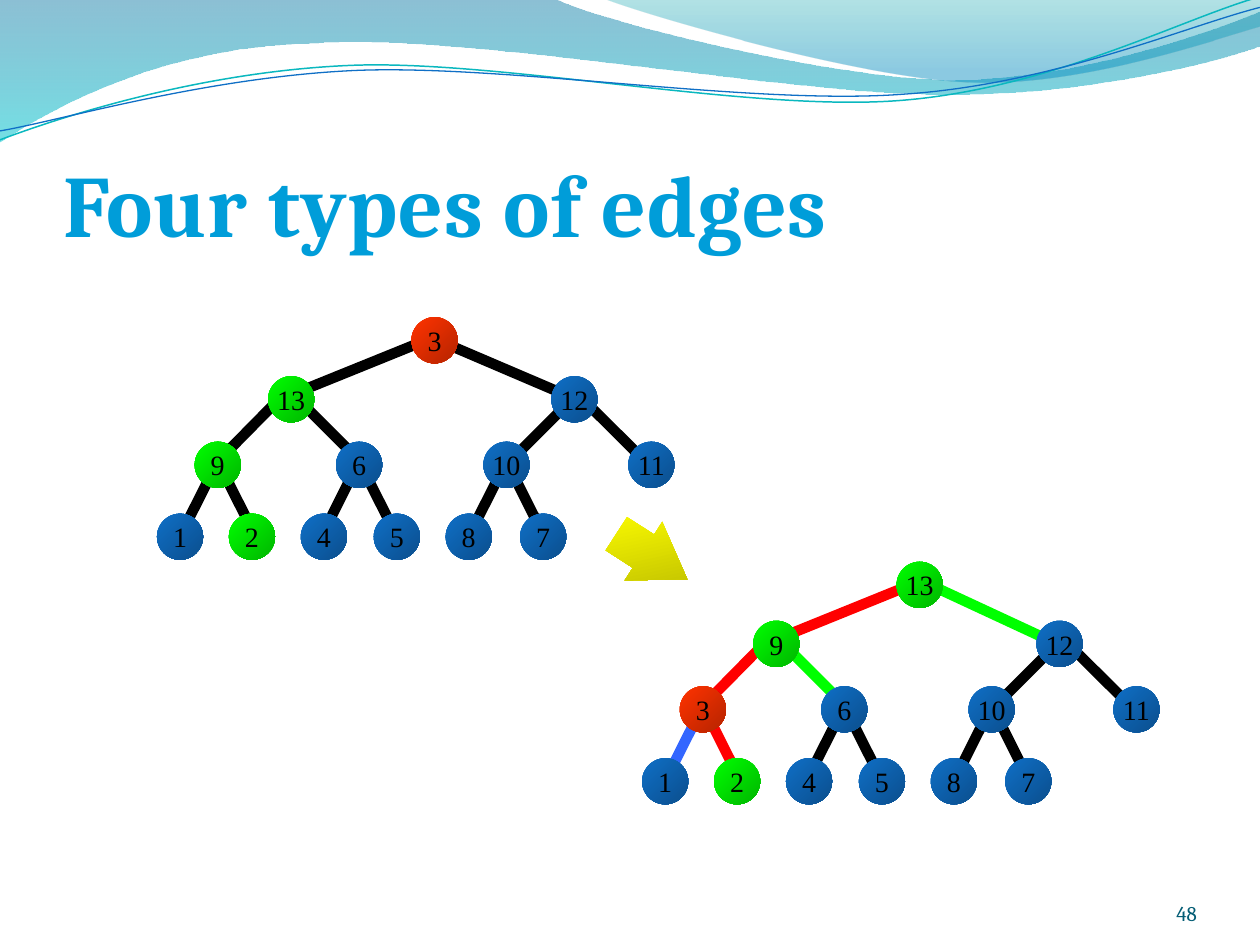
from dataclasses import dataclass, field
from typing import NamedTuple

from lxml import etree
from pptx import Presentation
from pptx.dml.color import RGBColor
from pptx.enum import shapes, text
from pptx.oxml.ns import qn
from pptx.util import Cm, Pt


class Stop(NamedTuple):
    position: float
    color: str
    alpha: int = 100


@dataclass(frozen=True)
class Theme:
    title_font: str = "Cambria"
    node_font: str = "Times New Roman"
    title_size: float = 50
    node_size: float = 16
    number_size: float = 12
    edge_width: float = 6
    black: str = "000000"
    red: str = "FF0000"
    green: str = "00FF00"
    blue: str = "3366FF"
    number: str = "045D75"
    title: tuple = (Stop(0.25, "009DD9"), Stop(1, "006F99"))
    node_blue: tuple = (Stop(0, "0F6FC6"), Stop(1, "0B4F8E"))
    node_green: tuple = (Stop(0, "00FF00"), Stop(1, "00B600"))
    node_red: tuple = (Stop(0, "FF3300"), Stop(1, "B62400"))
    arrow: tuple = (Stop(0, "FFFF00"), Stop(1, "B6B600"))
    wave_back: tuple = (Stop(0, "0074A1", 45), Stop(1, "00C6CF", 55))
    wave_front: tuple = (Stop(0, "00A1A9", 30), Stop(0.8, "008BBF", 45))
    wave_teal: str = "0AB8BF"
    wave_blue: str = "0F6FC6"


THEME = Theme()


class Edge(NamedTuple):
    x1: float
    y1: float
    x2: float
    y2: float


@dataclass(frozen=True)
class Wave:
    start: tuple
    segments: tuple
    fill: tuple = ()
    line: str = ""
    width: float = 0


@dataclass(frozen=True)
class Tree:
    dx: float
    dy: float
    labels: dict
    node_fills: dict
    edge_colors: dict = field(default_factory=dict)
    moved_edges: dict = field(default_factory=dict)


DIAMETER = 0.93
LEVEL_Y = (6.86, 8.05, 9.37, 10.82)
SLOT_X = {
    "T": 8.76, "TL": 5.87, "TR": 11.58,
    "TLL": 4.39, "TLR": 7.24, "TRL": 10.21, "TRR": 13.13,
    "TLLL": 3.63, "TLLR": 5.08, "TLRL": 6.53,
    "TLRR": 8.0, "TRLL": 9.45, "TRLR": 10.95,
}
EDGES = {
    "TL": Edge(8.71, 6.81, 5.82, 7.98),
    "TR": Edge(8.71, 6.81, 11.73, 8.1),
    "TLL": Edge(5.69, 7.98, 4.39, 9.3),
    "TLR": Edge(5.94, 7.98, 7.26, 9.3),
    "TRL": Edge(11.53, 8.05, 10.21, 9.37),
    "TRR": Edge(11.73, 8.03, 13.06, 9.35),
}
for slot in SLOT_X:
    if len(slot) == 4:
        x = SLOT_X[slot[:-1]]
        EDGES[slot] = Edge(x, 9.3, x + (0.79 if slot[-1] == "R" else -0.79), 10.87)

SHARED = {"TR": 12, "TLR": 6, "TRL": 10, "TRR": 11, "TLLL": 1, "TLLR": 2,
          "TLRL": 4, "TLRR": 5, "TRLL": 8, "TRLR": 7}
GREEN, RED = THEME.node_green, THEME.node_red
TREES = (
    Tree(0, 0, SHARED | {"T": 3, "TL": 13, "TLL": 9},
         {"T": RED, "TL": GREEN, "TLL": GREEN, "TLLR": GREEN}),
    Tree(9.78, 4.93, SHARED | {"T": 13, "TL": 9, "TLL": 3},
         {"T": GREEN, "TL": GREEN, "TLL": RED, "TLLR": GREEN},
         {"TL": THEME.red, "TLL": THEME.red, "TLLR": THEME.red,
          "TR": THEME.green, "TLR": THEME.green, "TLLL": THEME.blue},
         {"TR": Edge(8.84, 6.8, 11.53, 8.05)}),
)
WAVES = (
    Wave((0, 0), ((11.18, -0.03), (12.09, 0.43, 16.87, 1.6, 19.25, 1.6),
                  (21.67, 1.6, 24.33, 0.66, 25.4, 0.23), (25.43, 0.91),
                  (24.97, 1.12, 22.1, 1.93, 18.95, 1.9),
                  (15.8, 1.9, 9.7, 0.71, 6.53, 0.86),
                  (3.28, 0.91, 1.17, 2.11, -0.03, 2.87)), THEME.wave_back),
    Wave((12.17, -0.03), ((12.93, 0.28, 17.32, 1.57, 19.53, 1.65),
                          (21.74, 1.75, 24.41, 0.81, 25.4, 0.53),
                          (25.4, 0)), THEME.wave_front),
    Wave((0, 2.82), ((1.22, 2.36, 4.01, 1.45, 7.04, 1.32),
                     (10.03, 1.19, 15.06, 2.26, 18.11, 2.03),
                     (21.16, 1.8, 23.83, 0.38, 25.35, -0.05)),
         line=THEME.wave_teal, width=0.85),
    Wave((0, 2.64), ((1.19, 2.44, 4.17, 1.55, 7.19, 1.42),
                     (10.24, 1.3, 15.16, 2.13, 18.21, 1.9),
                     (21.23, 1.7, 23.9, 0.53, 25.4, 0.15)),
         line=THEME.wave_blue, width=0.75),
)


def apply(obj, formats: dict) -> None:
    for name, value in formats.items():
        setattr(obj, name, value)


def set_gradient(fill, element, stops: tuple, angle: float) -> None:
    fill.gradient()
    fill.gradient_angle = 360 - angle
    for target, stop in zip(fill.gradient_stops, stops):
        target.position = stop.position
        target.color.rgb = RGBColor.from_string(stop.color)
    for color, stop in zip(element.iter(qn("a:srgbClr")), stops):
        if stop.alpha < 100:
            etree.SubElement(color, qn("a:alpha"), val=str(stop.alpha * 1000))


def set_line(line, color: str, width: float) -> None:
    line.color.rgb = RGBColor.from_string(color)
    line.width = Pt(width)


def write(sp, value: str, frame: dict, align, font: dict):
    tf = sp.text_frame
    apply(tf, {"margin_left": 0, "margin_top": 0, "margin_right": 0,
               "margin_bottom": 0, "auto_size": text.MSO_AUTO_SIZE.NONE} | frame)
    p = tf.paragraphs[0]
    p.alignment = align
    r = p.add_run()
    r.text = value
    apply(r.font, font)
    return r


def draw_wave(slide, wave: Wave) -> None:
    points = [(Cm(a), Cm(b)) for s in wave.segments for a, b in zip(s[::2], s[1::2])]
    builder = slide.shapes.build_freeform(Cm(wave.start[0]), Cm(wave.start[1]))
    builder.add_line_segments(points, close=bool(wave.fill))
    sp = builder.convert_to_shape()
    sp.shadow.inherit = False
    steps = iter(list(sp.element.iter(qn("a:lnTo"))))
    for segment in wave.segments:
        step = next(steps)
        if len(segment) == 6:
            step.tag = qn("a:cubicBezTo")
            for _ in range(2):
                extra = next(steps)
                step.append(extra[0])
                extra.getparent().remove(extra)
    if wave.fill:
        set_gradient(sp.fill, sp.element, wave.fill, 90)
        sp.line.fill.background()
    else:
        sp.fill.background()
        set_line(sp.line, wave.line, wave.width)


def draw_shape(slide, kind, box: tuple, stops: tuple):
    sp = slide.shapes.add_shape(kind, *map(Cm, box))
    sp.shadow.inherit = False
    set_gradient(sp.fill, sp.element, stops, 45)
    sp.line.fill.background()
    return sp


def draw_tree(slide, tree: Tree) -> None:
    for slot, edge in (EDGES | tree.moved_edges).items():
        ends = (edge.x1 + tree.dx, edge.y1 + tree.dy, edge.x2 + tree.dx, edge.y2 + tree.dy)
        cx = slide.shapes.add_connector(shapes.MSO_CONNECTOR.STRAIGHT, *map(Cm, ends))
        set_line(cx.line, tree.edge_colors.get(slot, THEME.black), THEME.edge_width)
        etree.SubElement(cx.element.spPr, qn("a:effectLst"))
    for slot, x in SLOT_X.items():
        left = x + tree.dx - DIAMETER / 2
        top = LEVEL_Y[len(slot) - 1] + tree.dy - DIAMETER / 2
        sp = draw_shape(slide, shapes.MSO_SHAPE.OVAL, (left, top, DIAMETER, DIAMETER),
                        tree.node_fills.get(slot, THEME.node_blue))
        r = write(sp, str(tree.labels[slot]),
                  {"word_wrap": False, "vertical_anchor": text.MSO_ANCHOR.MIDDLE},
                  text.PP_ALIGN.CENTER, {"name": THEME.node_font, "size": Pt(THEME.node_size)})
        r.font.color.rgb = RGBColor.from_string(THEME.black)


def main() -> None:
    prs = Presentation()
    apply(prs, {"slide_width": Cm(25.4), "slide_height": Cm(19.05)})
    slide = prs.slides.add_slide(prs.slide_layouts[5])
    for wave in WAVES:
        draw_wave(slide, wave)

    bottom = {"word_wrap": True, "vertical_anchor": text.MSO_ANCHOR.BOTTOM}
    title = slide.shapes.title
    apply(title, {"left": Cm(1.27), "top": Cm(1.96), "width": Cm(22.86), "height": Cm(3.18)})
    r = write(title, "Four types of edges", bottom | {"margin_top": Cm(0.13)}, text.PP_ALIGN.LEFT,
              {"name": THEME.title_font, "size": Pt(THEME.title_size), "bold": True})
    rPr = r._r.get_or_add_rPr()
    rPr.set("spc", "50")
    set_gradient(r.font.fill, rPr, THEME.title, 90)

    number = slide.shapes.add_textbox(Cm(22.02), Cm(17.65), Cm(2.11), Cm(1.02))
    r = write(number, "48", bottom, text.PP_ALIGN.RIGHT,
              {"name": THEME.title_font, "size": Pt(THEME.number_size)})
    r.font.color.rgb = RGBColor.from_string(THEME.number)

    for tree in TREES:
        draw_tree(slide, tree)
    arrow = draw_shape(slide, shapes.MSO_SHAPE.RIGHT_ARROW, (12.29, 10.52, 1.7, 1.4), THEME.arrow)
    arrow.rotation = 32.7
    arrow.adjustments[0], arrow.adjustments[1] = 0.57, 0.75
    prs.save("out.pptx")


if __name__ == "__main__":
    main()
